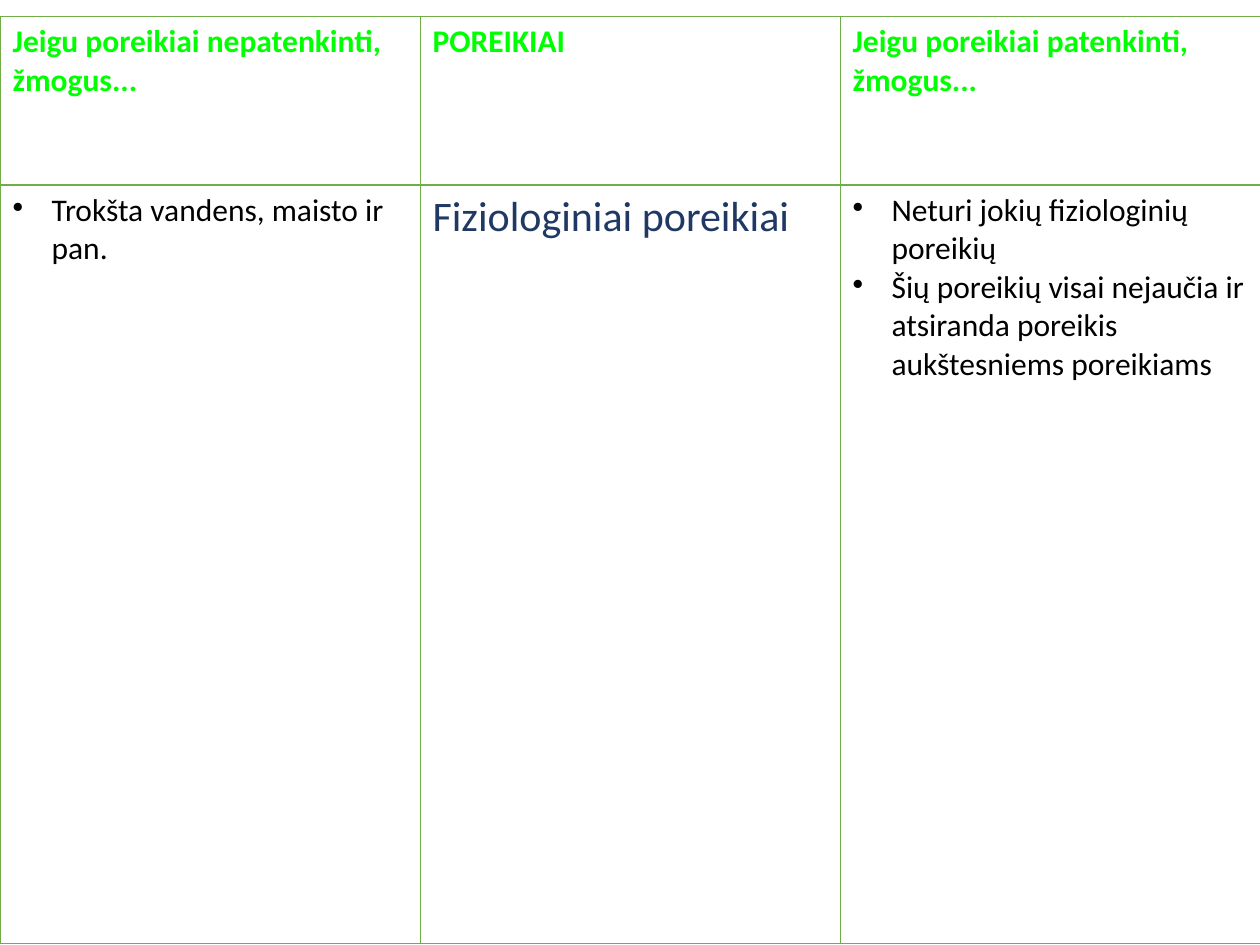
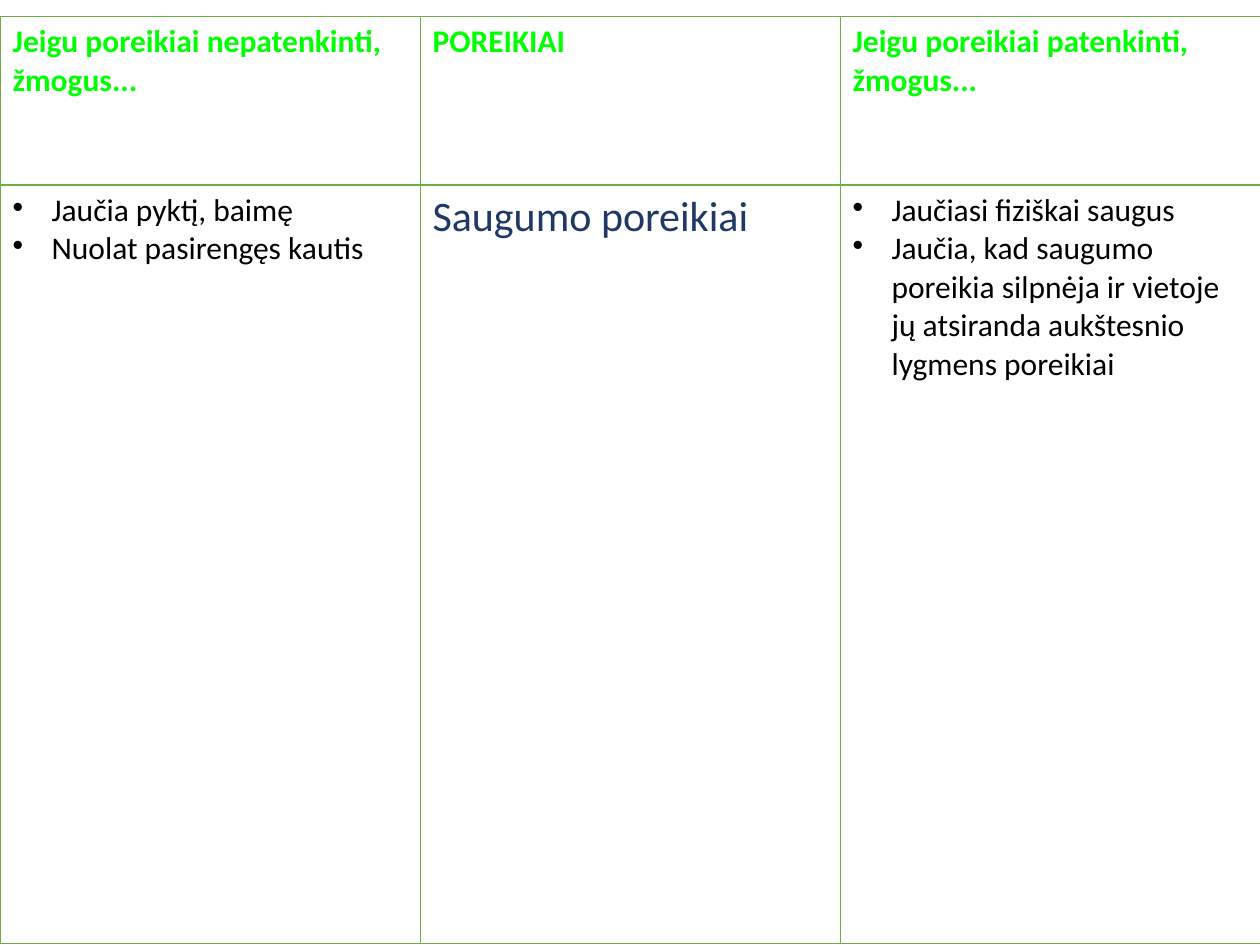
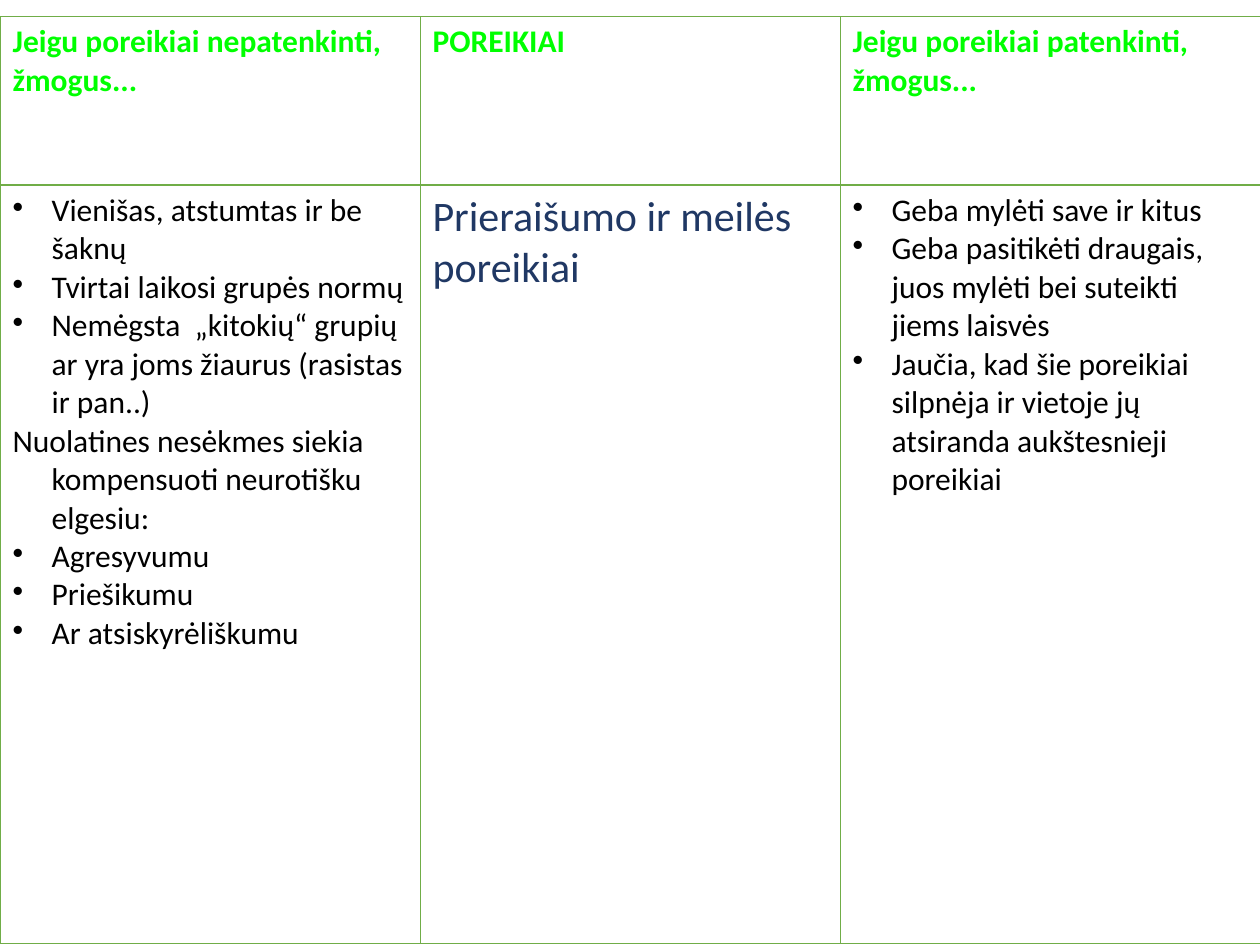
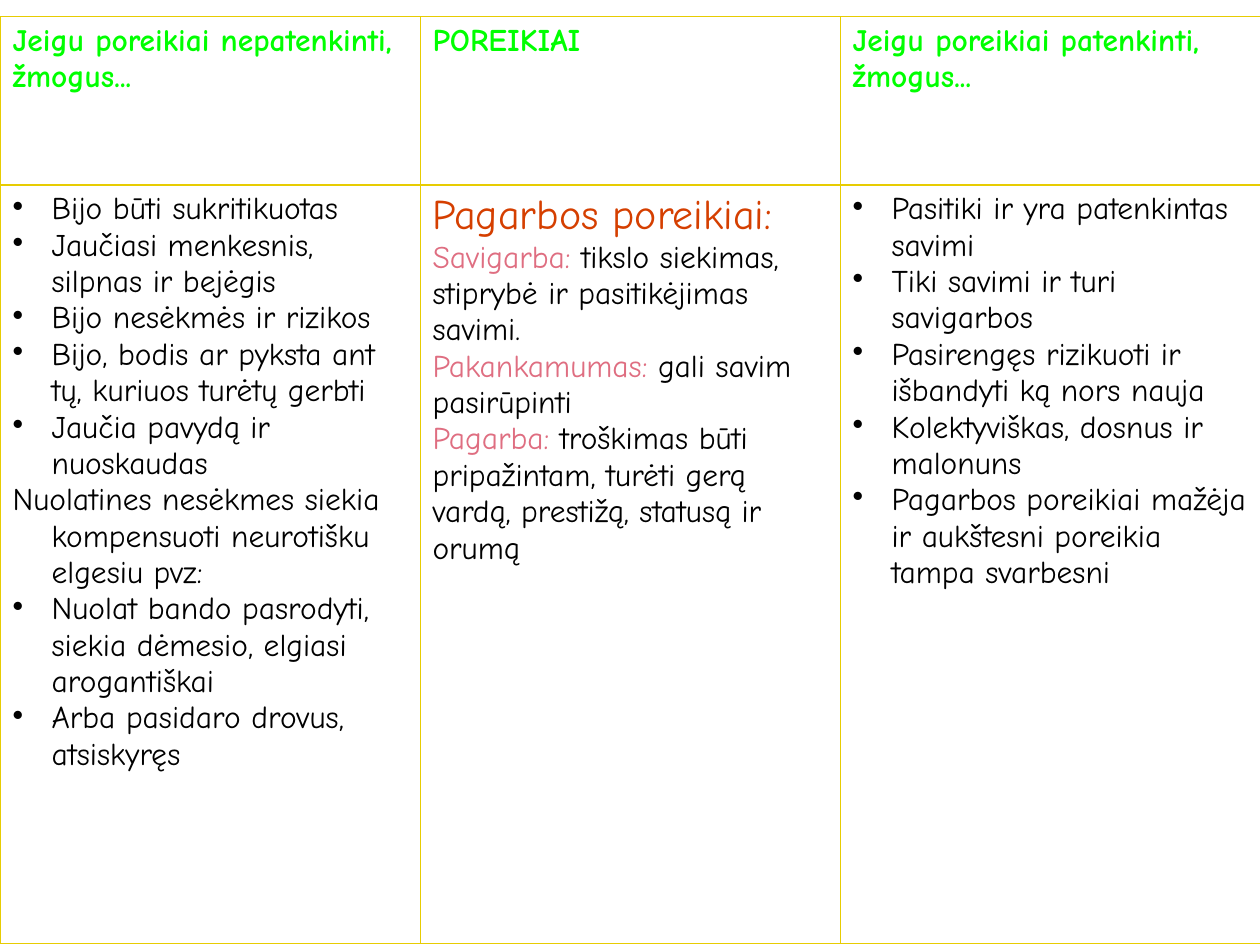
from dataclasses import dataclass
from typing import Optional

from lxml.etree import SubElement
from pptx import Presentation
from pptx.dml.color import RGBColor
from pptx.oxml.ns import qn
from pptx.util import Inches, Pt


# Theme: colours, type sizes and line widths
@dataclass(frozen=True)
class Theme:
    paper: str = "FFFFFF"
    ink: str = "000000"
    head: str = "00FF00"
    term: str = "DF6E81"
    body_size: int = 18
    need_size: int = 24
    thin: float = 0.45
    thick: float = 0.96
    indent: float = 0.31


THEME = Theme()


@dataclass(frozen=True)
class Look:
    font: str
    need: str
    rule: str


CALM = Look("Calibri", "203864", "70AD47")
WARM = Look("Comic Neue", "D53F00", "E7CC02")


# Content records
@dataclass(frozen=True)
class Span:
    text: str
    color: str = THEME.ink
    size: int = THEME.body_size
    bold: bool = False


@dataclass(frozen=True)
class Line:
    spans: tuple[Span, ...]
    bullet: bool = False
    hang: bool = False


@dataclass(frozen=True)
class Level:
    need: str
    unmet: tuple[Line, ...]
    met: tuple[Line, ...]
    terms: tuple[Line, ...] = ()
    look: Look = CALM


def points(*texts: str) -> tuple[Line, ...]:
    return tuple(Line((Span(text),), bullet=True, hang=True) for text in texts)


def lead(text: str) -> tuple[Line, ...]:
    return (Line((Span(text),), hang=True),)


def term(name: str, text: str) -> Line:
    return Line((Span(name, THEME.term), Span(text)))


HEADS = (
    "Jeigu poreikiai nepatenkinti, žmogus...",
    "POREIKIAI",
    "Jeigu poreikiai patenkinti, žmogus...",
)

LEVELS = (
    Level(
        "Fiziologiniai poreikiai",
        points("Trokšta vandens, maisto ir pan."),
        points(
            "Neturi jokių fiziologinių poreikių",
            "Šių poreikių visai nejaučia ir atsiranda poreikis "
            "aukštesniems poreikiams",
        ),
    ),
    Level(
        "Saugumo poreikiai",
        points("Jaučia pyktį, baimę", "Nuolat pasirengęs kautis"),
        points(
            "Jaučiasi fiziškai saugus",
            "Jaučia, kad saugumo poreikia silpnėja ir vietoje jų "
            "atsiranda aukštesnio lygmens poreikiai",
        ),
    ),
    Level(
        "Prieraišumo ir meilės poreikiai",
        points(
            "Vienišas, atstumtas ir be šaknų",
            "Tvirtai laikosi grupės normų",
            "Nemėgsta  „kitokių“ grupių ar yra joms žiaurus (rasistas ir pan..)",
        )
        + lead("Nuolatines nesėkmes siekia kompensuoti neurotišku elgesiu:")
        + points("Agresyvumu", "Priešikumu", "Ar atsiskyrėliškumu"),
        points(
            "Geba mylėti save ir kitus",
            "Geba pasitikėti draugais, juos mylėti bei suteikti jiems laisvės",
            "Jaučia, kad šie poreikiai silpnėja ir vietoje jų "
            "atsiranda aukštesnieji poreikiai",
        ),
    ),
    Level(
        "Pagarbos poreikiai:",
        points(
            "Bijo būti sukritikuotas",
            "Jaučiasi menkesnis, silpnas ir bejėgis",
            "Bijo nesėkmės ir rizikos",
            "Bijo, bodis ar pyksta ant tų, kuriuos turėtų gerbti",
            "Jaučia pavydą ir nuoskaudas",
        )
        + lead("Nuolatines nesėkmes siekia kompensuoti neurotišku elgesiu pvz:")
        + points(
            "Nuolat bando pasrodyti, siekia dėmesio, elgiasi arogantiškai",
            "Arba pasidaro drovus, atsiskyręs",
        ),
        points(
            "Pasitiki ir yra patenkintas savimi",
            "Tiki savimi ir turi savigarbos",
            "Pasirengęs rizikuoti ir išbandyti ką nors nauja",
            "Kolektyviškas, dosnus ir malonuns",
            "Pagarbos poreikiai mažėja ir aukštesni poreikia tampa svarbesni",
        ),
        terms=(
            term("Savigarba:", " tikslo siekimas, stiprybė ir pasitikėjimas savimi."),
            term("Pakankamumas: ", "gali savim pasirūpinti"),
            term(
                "Pagarba: ",
                "troškimas būti pripažintam, turėti gerą vardą, "
                "prestižą, statusą ir orumą",
            ),
        ),
        look=WARM,
    ),
)


# Cell parts
def add_color(parent, tag: str, color: str) -> None:
    SubElement(SubElement(parent, qn(tag)), qn("a:srgbClr"), val=color)


def set_rules(cell, color: str, is_head: bool) -> None:
    props = cell._tc.get_or_add_tcPr()
    shared = "B" if is_head else "T"
    for side in "LRTB":
        width = THEME.thick if side == shared else THEME.thin
        rule = SubElement(props, qn(f"a:ln{side}"), w=str(Pt(width)))
        add_color(rule, "a:solidFill", color)


def set_indent(para, bullet: bool) -> None:
    props = para._p.get_or_add_pPr()
    hang = Inches(THEME.indent)
    props.set("marL", str(hang))
    props.set("indent", str(-hang))
    if bullet:
        add_color(props, "a:buClr", THEME.ink)
        SubElement(props, qn("a:buChar"), char="•")


def write(cell, lines: tuple[Line, ...], font: str) -> None:
    frame = cell.text_frame
    frame.text = "\n".join(line.spans[0].text for line in lines)
    for para, line in zip(frame.paragraphs, lines):
        for span in line.spans[1:]:
            para.add_run().text = span.text
        if line.hang:
            set_indent(para, line.bullet)
        for run, span in zip(para.runs, line.spans):
            run.font.name = font
            run.font.size = Pt(span.size)
            run.font.bold = span.bold
            run.font.color.rgb = RGBColor.from_string(span.color)


# One slide: header row over unmet, need and met columns
def add_level(deck, level: Level) -> None:
    slide = deck.slides.add_slide(deck.slide_layouts[6])
    frame = slide.shapes.add_table(
        2, 3, Inches(0), Inches(0.13), Inches(10), Inches(7.36)
    )
    table = frame.table
    table.first_row = table.horz_banding = False
    for row, height in zip(table.rows, (1.34, 6.02)):
        row.height = Inches(height)

    heads = [(Line((Span(text, THEME.head, bold=True),)),) for text in HEADS]
    need = Line((Span(level.need, level.look.need, THEME.need_size),))
    bodies = [level.unmet, (need,) + level.terms, level.met]
    for index, row in enumerate((heads, bodies)):
        for col, lines in enumerate(row):
            cell = table.cell(index, col)
            set_rules(cell, level.look.rule, is_head=index == 0)
            cell.fill.solid()
            cell.fill.fore_color.rgb = RGBColor.from_string(THEME.paper)
            write(cell, lines, level.look.font)


def main() -> None:
    deck = Presentation()
    deck.slide_width, deck.slide_height = Inches(10), Inches(7.5)
    for level in LEVELS:
        add_level(deck, level)
    deck.save("out.pptx")


if __name__ == "__main__":
    main()
